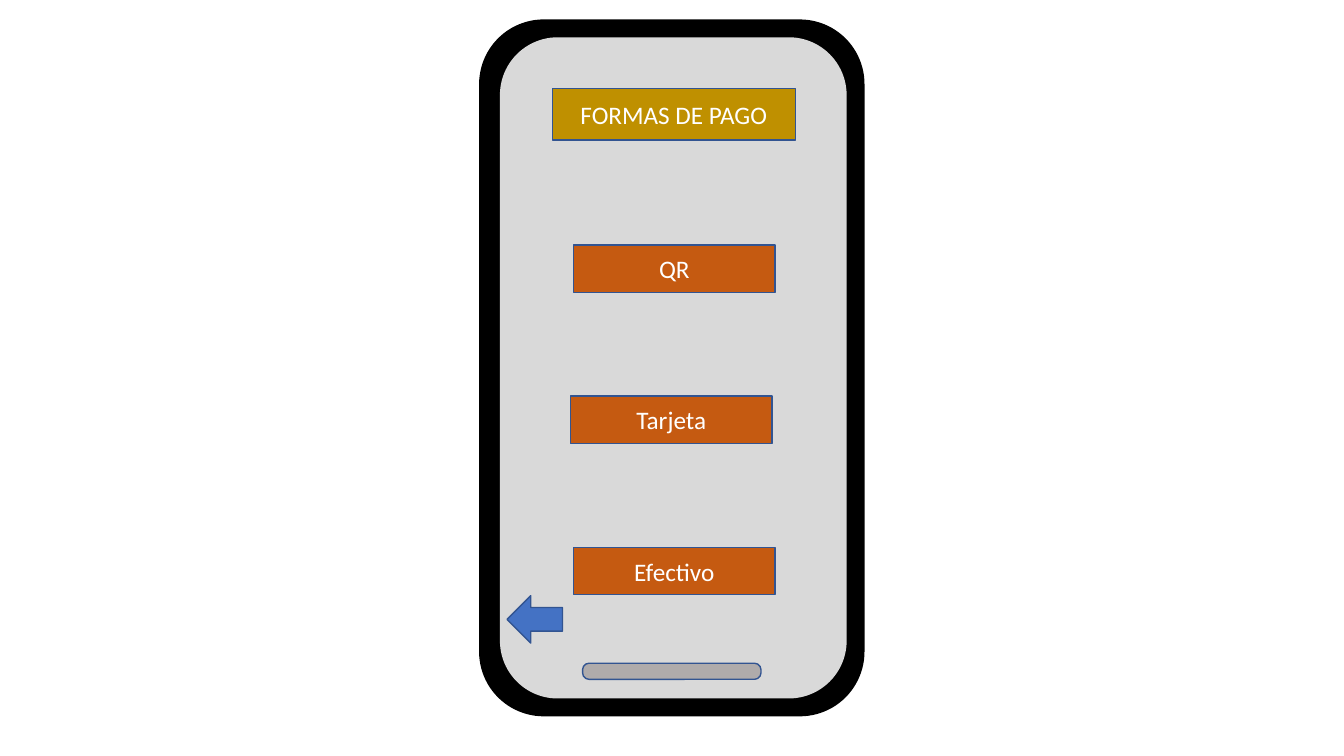
from dataclasses import dataclass

from pptx import Presentation
from pptx.dml.color import RGBColor
from pptx.enum.shapes import MSO_SHAPE
from pptx.enum.text import MSO_ANCHOR, MSO_AUTO_SIZE, PP_ALIGN
from pptx.util import Pt

COLORS = {
    "case": "000000",
    "screen": "D9D9D9",
    "bar": "AFABAB",
    "title": "BF9000",
    "button": "C55A11",
    "arrow": "4472C4",
    "edge": "325491",
    "text": "FFFFFF",
}


@dataclass
class Box:
    left: float
    top: float
    width: float
    height: float
    fill: str
    edge: str = "edge"
    kind: MSO_SHAPE = MSO_SHAPE.RECTANGLE

    def place(self) -> tuple:
        return Pt(self.left), Pt(self.top), Pt(self.width), Pt(self.height)


def color(name: str) -> RGBColor:
    return RGBColor.from_string(COLORS[name])


def paint(shape, box: Box) -> None:
    shape.fill.solid()
    shape.fill.fore_color.rgb = color(box.fill)
    if box.edge:
        shape.line.color.rgb = color(box.edge)
        shape.line.width = Pt(1)
    else:
        shape.line.fill.background()


def draw(shapes, box: Box):
    shape = shapes.add_shape(box.kind, *box.place())
    shape.shadow.inherit = False
    paint(shape, box)
    return shape


def label(shape, text: str) -> None:
    frame = shape.text_frame
    frame.text = text
    frame.word_wrap = True
    frame.auto_size = MSO_AUTO_SIZE.NONE
    frame.vertical_anchor = MSO_ANCHOR.MIDDLE
    line = frame.paragraphs[0]
    line.alignment = PP_ALIGN.CENTER
    line.font.name = "Calibri"
    line.font.size = Pt(18)
    line.font.color.rgb = color("text")


def main() -> None:
    deck = Presentation()
    deck.slide_width, deck.slide_height = Pt(960), Pt(540)
    slide = deck.slides.add_slide(deck.slide_layouts[5])
    shapes = slide.shapes

    rounded = MSO_SHAPE.ROUNDED_RECTANGLE
    phone = shapes.add_group_shape()
    draw(phone.shapes, Box(342.72, 14.4, 274.32, 496.8, "case", "case", rounded))
    draw(phone.shapes, Box(357.12, 26.64, 247.68, 472.32, "screen", "", rounded))

    bar = draw(shapes, Box(416.16, 473.76, 127.44, 11.52, "bar", kind=rounded))
    bar.adjustments[0] = 0.4

    head = Box(394.56, 63.36, 173.52, 36.72, "title")
    title = shapes.title
    title.left, title.top, title.width, title.height = head.place()
    paint(title, head)
    label(title, "FORMAS DE PAGO")
    # Bring the title in front of the phone
    bar.element.addnext(title.element)

    buttons = [("QR", 409.68), ("Tarjeta", 407.52), ("Efectivo", 409.68)]
    for row, (text, left) in enumerate(buttons):
        box = Box(left, 174.96 + 108 * row, 144, 33.84, "button")
        label(draw(shapes, box), text)

    back = Box(365.04, 422.64, 33.84, 39.6, "arrow", kind=MSO_SHAPE.DOWN_ARROW)
    draw(shapes, back).rotation = 90

    deck.save("out.pptx")


if __name__ == "__main__":
    main()
